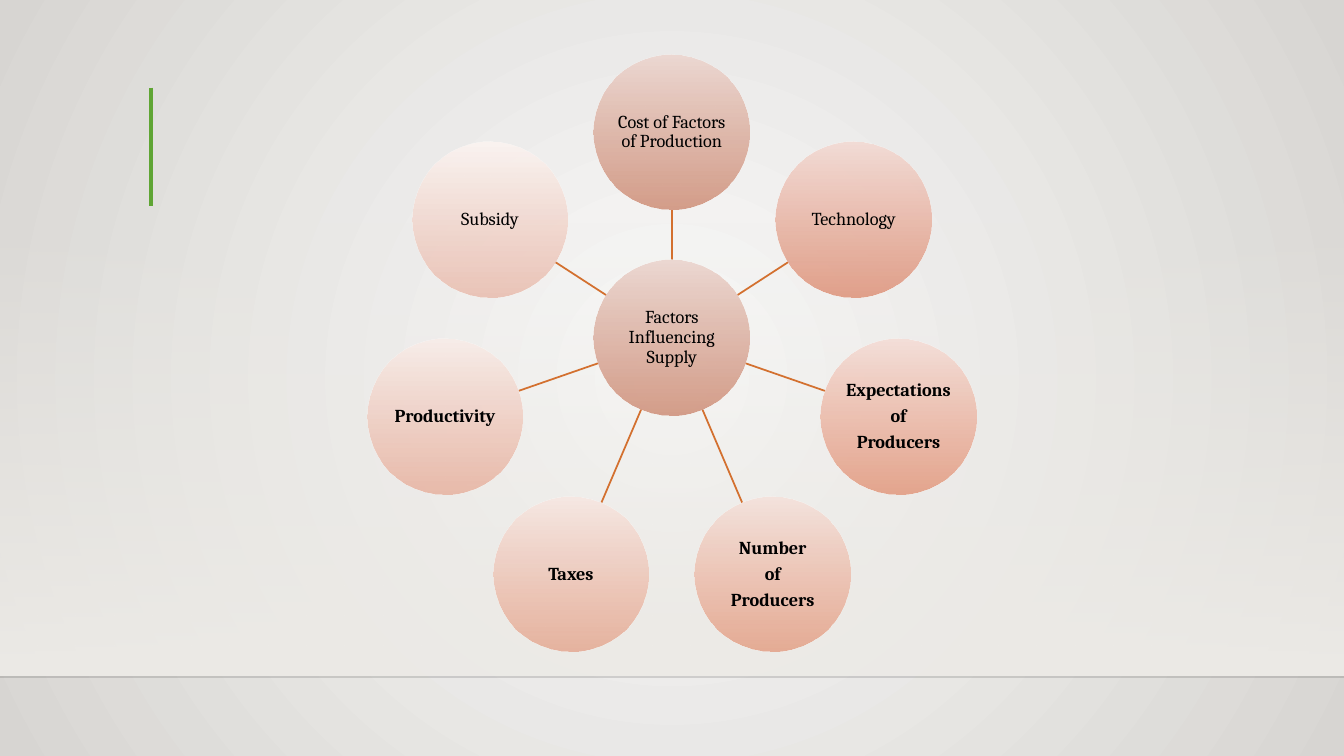
"""Build a slide with a radial diagram of the factors influencing supply."""
import math

from lxml import etree
from pptx import Presentation
from pptx import util as u
from pptx.dml.color import RGBColor
from pptx.enum import shapes, text
from pptx.oxml import ns

BACKGROUND_LIGHT = RGBColor(0xFA, 0xFA, 0xF9)
BACKGROUND_DARK = RGBColor(0xD7, 0xD5, 0xD2)
HAZE = RGBColor(0xED, 0xEB, 0xE7)
FLOOR_LINE = RGBColor(0x00, 0x00, 0x01)
ACCENT = RGBColor(0x5F, 0xA5, 0x34)
SPOKE = RGBColor(0xD3, 0x70, 0x2F)
BLACK = RGBColor(0x00, 0x00, 0x00)
HUB_COLORS = (RGBColor(0xEC, 0xD8, 0xD2), RGBColor(0xD2, 0x97, 0x82))

FACTORS = [
    ("Cost of Factors of Production", False, HUB_COLORS),
    ("Technology", False, (RGBColor(0xF3, 0xDC, 0xD6), RGBColor(0xE0, 0x9A, 0x83))),
    ("Expectations\nof\nProducers", True,
     (RGBColor(0xF5, 0xDF, 0xD9), RGBColor(0xE4, 0xA0, 0x87))),
    ("Number\nof\nProducers", True,
     (RGBColor(0xF5, 0xE3, 0xDD), RGBColor(0xE5, 0xA7, 0x8F))),
    ("Taxes", True, (RGBColor(0xF7, 0xE8, 0xE3), RGBColor(0xE6, 0xAF, 0x9A))),
    ("Productivity", True, (RGBColor(0xF8, 0xED, 0xE9), RGBColor(0xE8, 0xB7, 0xA6))),
    ("Subsidy", False, (RGBColor(0xFB, 0xF4, 0xF1), RGBColor(0xEA, 0xC1, 0xB4))),
]

WIDTH, HEIGHT = 33.87, 19.05
HUB_X, HUB_Y = 16.93, 8.51
RING_Y, RING_RADIUS = 9.19, 5.86
CIRCLE_RADIUS = 1.96

FRAME_FORMAT = {
    "word_wrap": True,
    "vertical_anchor": text.MSO_ANCHOR.MIDDLE,
    "margin_left": u.Cm(0.03),
    "margin_right": u.Cm(0.03),
    "margin_top": u.Cm(0.03),
    "margin_bottom": u.Cm(0.03),
}
PARAGRAPH_FORMAT = {
    "alignment": text.PP_ALIGN.CENTER,
    "line_spacing": 0.9,
    "space_after": u.Pt(4.5),
}


def add_line(start, end, color, width, opacity=100):
    connector = slide.shapes.add_connector(
        shapes.MSO_CONNECTOR.STRAIGHT, *(u.Cm(value) for value in (*start, *end)))
    connector.line.color.rgb = color
    connector.line.width = u.Pt(width)
    properties = connector.element.spPr
    color_element = properties.find(".//" + ns.qn("a:srgbClr"))
    etree.SubElement(color_element, ns.qn("a:alpha"), val=str(opacity * 1000))
    etree.SubElement(properties, ns.qn("a:effectLst"))


def add_gradient_shape(kind, box, colors, opacities):
    shape = slide.shapes.add_shape(kind, *(u.Cm(value) for value in box))
    shape.shadow.inherit = False
    shape.line.fill.background()
    shape.fill.gradient()
    shape.fill.gradient_angle = 270
    for stop, color in zip(shape.fill.gradient_stops, colors):
        stop.color.rgb = color
    color_elements = shape.element.spPr.iter(ns.qn("a:srgbClr"))
    for element, opacity in zip(color_elements, opacities):
        etree.SubElement(element, ns.qn("a:alpha"), val=str(opacity * 1000))
    return shape


presentation = Presentation()
presentation.slide_width = u.Cm(WIDTH)
presentation.slide_height = u.Cm(HEIGHT)
slide = presentation.slides.add_slide(presentation.slide_layouts[6])

background = slide.background.fill
background.gradient()
for stop, color in zip(background.gradient_stops, (BACKGROUND_LIGHT, BACKGROUND_DARK)):
    stop.color.rgb = color
gradient = slide.element.find(".//" + ns.qn("a:gradFill"))
gradient.remove(gradient.find(ns.qn("a:lin")))
circle_path = etree.SubElement(gradient, ns.qn("a:path"), path="circle")
etree.SubElement(circle_path, ns.qn("a:fillToRect"),
                 l="50000", t="50000", r="50000", b="50000")

add_gradient_shape(shapes.MSO_SHAPE.RECTANGLE, (0, 5.59, WIDTH, 11.43), (HAZE, HAZE), (0, 100))
add_line((0, 17.06), (WIDTH, 17.06), FLOOR_LINE, 1, 20)
add_line((3.81, 2.21), (3.81, 5.18), ACCENT, 3)

circles = [("Factors Influencing Supply", False, HUB_COLORS, HUB_X, HUB_Y)]
for index, factor in enumerate(FACTORS):
    angle = 2 * math.pi * index / len(FACTORS)
    x = HUB_X + RING_RADIUS * math.sin(angle)
    y = RING_Y - RING_RADIUS * math.cos(angle)
    circles.append((*factor, x, y))
    distance = math.hypot(x - HUB_X, y - HUB_Y)
    edge_x = (x - HUB_X) * CIRCLE_RADIUS / distance
    edge_y = (y - HUB_Y) * CIRCLE_RADIUS / distance
    add_line((HUB_X + edge_x, HUB_Y + edge_y), (x - edge_x, y - edge_y), SPOKE, 1.25)

for label, bold, colors, x, y in circles:
    box = (x - CIRCLE_RADIUS, y - CIRCLE_RADIUS, 2 * CIRCLE_RADIUS, 2 * CIRCLE_RADIUS)
    circle = add_gradient_shape(shapes.MSO_SHAPE.OVAL, box, colors, (100, 92))
    frame = circle.text_frame
    for name, value in FRAME_FORMAT.items():
        setattr(frame, name, value)
    frame.text = label
    font_format = {"name": "Cambria", "size": u.Pt(13), "bold": bold}
    for paragraph in frame.paragraphs:
        for name, value in PARAGRAPH_FORMAT.items():
            setattr(paragraph, name, value)
        font = paragraph.runs[0].font
        for name, value in font_format.items():
            setattr(font, name, value)
        font.color.rgb = BLACK

presentation.save("out.pptx")
